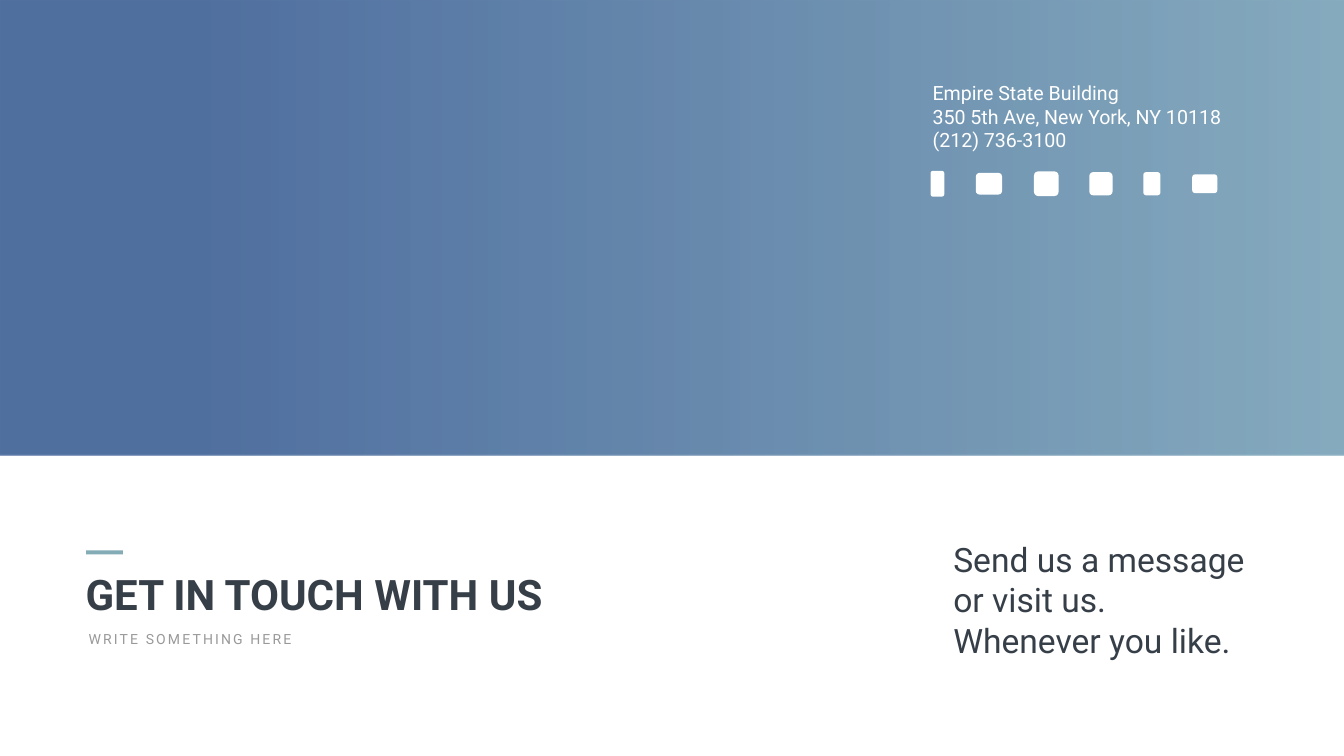
"""Build the contact slide: gradient banner, address, icon row, title and message."""
from lxml import etree
from pptx import Presentation
from pptx.dml.color import RGBColor
from pptx.enum.shapes import MSO_SHAPE
from pptx.enum.text import MSO_ANCHOR, MSO_AUTO_SIZE, PP_ALIGN
from pptx.oxml.ns import qn
from pptx.util import Cm, Pt

RECT = MSO_SHAPE.RECTANGLE
ROUNDED = MSO_SHAPE.ROUNDED_RECTANGLE
TOP = MSO_ANCHOR.TOP
NO_FIT = MSO_AUTO_SIZE.NONE
LEFT = PP_ALIGN.LEFT

COLORS = {
    "navy": "264D89",
    "teal": "6997AF",
    "accent": "84ACB6",
    "ink": "363E48",
    "grey": "999999",
    "white": "FFFFFF",
}
FORMATS = {
    "title": {"size": Pt(60), "bold": True},
    "message": {"size": Pt(48)},
    "address": {"size": Pt(28)},
    "subtitle": {"size": Pt(20)},
}
ICON_MIDDLE = 9.26
ICONS = [
    (46.89, 0.69, 1.3),
    (49.17, 1.32, 1.09),
    (52.1, 1.24, 1.24),
    (54.89, 1.17, 1.17),
    (57.61, 0.86, 1.17),
    (60.07, 1.27, 0.95),
]


def rgb(name):
    return RGBColor.from_string(COLORS[name])


def place(sp, box):
    for attr, value in zip(("left", "top", "width", "height"), box):
        setattr(sp, attr, Cm(value))


def write(sp, lines, style, color, wrap=True, spacing=0):
    tf = sp.text_frame
    settings = {"word_wrap": wrap, "auto_size": NO_FIT, "vertical_anchor": TOP}
    for attr, value in settings.items():
        setattr(tf, attr, value)
    for i, line in enumerate(lines):
        p = tf.add_paragraph() if i else tf.paragraphs[0]
        p.alignment = LEFT
        p.space_before = Pt(0)
        r = p.add_run()
        r.text = line
        for attr, value in {"name": "Roboto", **FORMATS[style]}.items():
            setattr(r.font, attr, value)
        r.font.color.rgb = rgb(color)
        if spacing:
            r._r.get_or_add_rPr().set("spc", str(spacing * 100))


def remove_bullets(sp):
    for p in sp.text_frame.paragraphs:
        pPr = p._p.get_or_add_pPr()
        pPr.set("marL", "0")
        pPr.set("indent", "0")
        etree.SubElement(pPr, qn("a:buNone"))


def add_text(s, box, *args, **options):
    sp = s.shapes.add_textbox(*map(Cm, box))
    write(sp, *args, **options)


def add_block(s, kind, box, color):
    sp = s.shapes.add_shape(kind, *map(Cm, box))
    sp.shadow.inherit = False
    sp.line.fill.background()
    sp.fill.solid()
    sp.fill.fore_color.rgb = rgb(color)
    return sp


def add_banner(s, box):
    fill = add_block(s, RECT, box, "navy").fill
    fill.gradient()
    fill.gradient_angle = 0
    stops = [(0.15, "navy"), (1, "teal")]
    for stop, (position, color) in zip(fill.gradient_stops, stops):
        stop.position = position
        stop.color.rgb = rgb(color)
    for clr in fill._xPr.iter(qn("a:srgbClr")):
        etree.SubElement(clr, qn("a:alpha")).set("val", "80000")


def add_icons(s):
    for left, width, height in ICONS:
        box = (left, ICON_MIDDLE - height / 2, width, height)
        add_block(s, ROUNDED, box, "white")


def main():
    prs = Presentation()
    prs.slide_width, prs.slide_height = Cm(67.72), Cm(38.1)
    s = prs.slides.add_slide(prs.slide_layouts[1])
    title, message = s.placeholders

    add_banner(s, (0, 0, 67.72, 22.96))
    address = ["Empire State Building", "350 5th Ave, New York, NY 10118", "(212) 736-3100"]
    add_text(s, (46.74, 3.96, 15.39, 3.84), address, "address", "white", wrap=False)
    add_icons(s)

    add_block(s, RECT, (4.34, 27.74, 1.85, 0.2), "accent")
    place(title, (4.06, 28.5, 24.69, 2.82))
    write(title, ["GET IN TOUCH WITH US"], "title", "ink")
    add_text(s, (4.22, 31.65, 11.05, 1.12), ["WRITE SOMETHING HERE"],
             "subtitle", "grey", wrap=False, spacing=3)

    place(message, (47.78, 27.03, 15.39, 6.4))
    write(message, ["Send us a message or visit us.", "Whenever you like."], "message", "ink")
    remove_bullets(message)
    prs.save("out.pptx")


if __name__ == "__main__":
    main()
